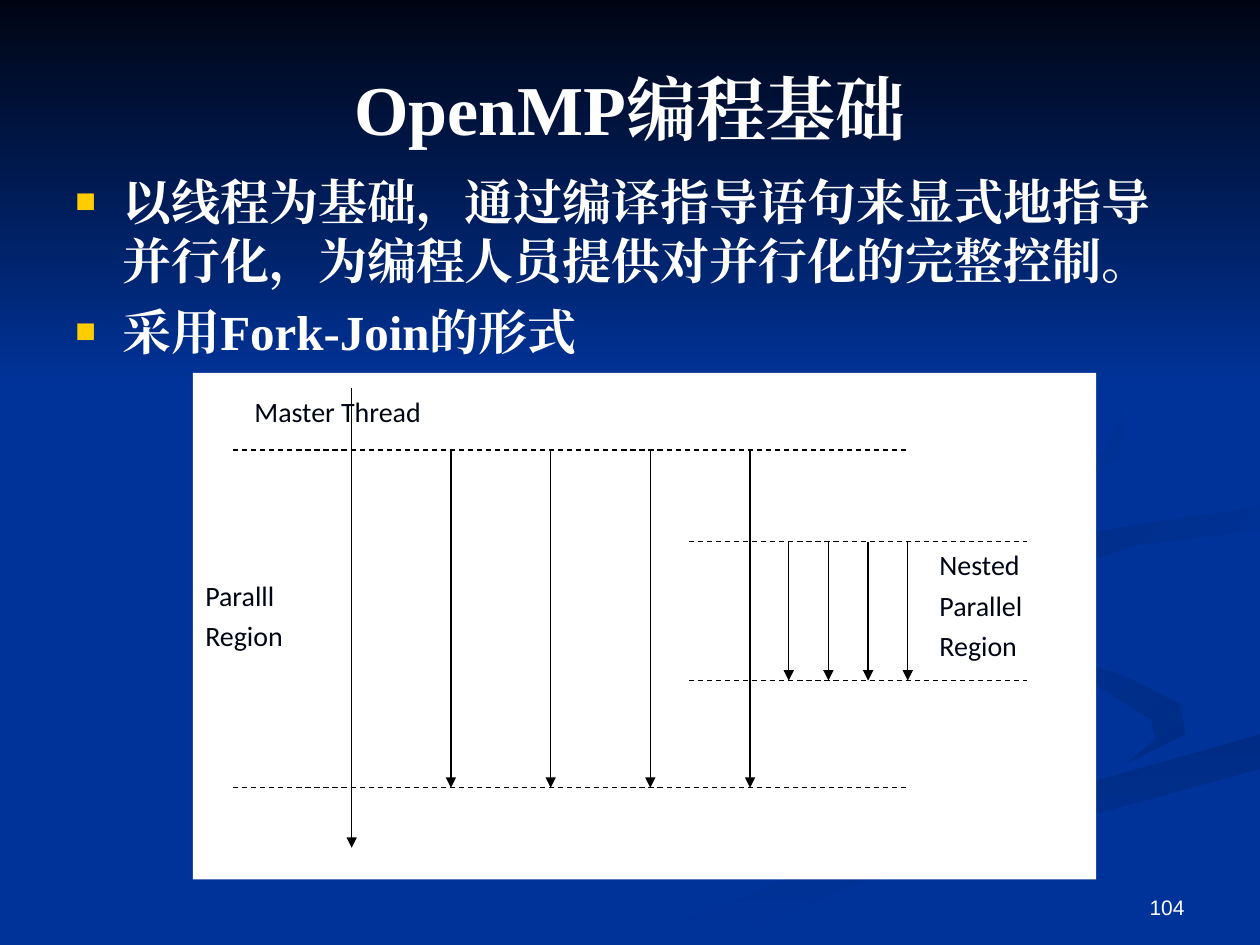
from pptx import Presentation
from pptx import util as u
from pptx.dml.color import RGBColor
from pptx.enum import dml, shapes, text
from pptx.oxml import parse_xml
from pptx.oxml.ns import nsdecls

BLUE = RGBColor(0x00, 0x33, 0x99)
NIGHT = RGBColor(0x00, 0x05, 0x14)
SHADE = RGBColor(0x00, 0x2C, 0x85)
WHITE = RGBColor(0xFF, 0xFF, 0xFF)
BLACK = RGBColor(0x00, 0x00, 0x00)
BULLET = (
    '<a:buClr {ns}><a:srgbClr val="FFCC00"/></a:buClr>',
    '<a:buSzPct {ns} val="70000"/>',
    '<a:buFont {ns} typeface="Arial"/>',
    '<a:buChar {ns} char="■"/>',
)


def write(box, content, size, font, color, bold=False, align=text.PP_ALIGN.LEFT,
          anchor=text.MSO_ANCHOR.TOP, before=0, bullet=False):
    frame = box.text_frame
    frame.word_wrap = True
    frame.auto_size = text.MSO_AUTO_SIZE.NONE
    frame.vertical_anchor = anchor
    for index, line in enumerate(content.split("\n")):
        para = frame.add_paragraph() if index else frame.paragraphs[0]
        para.alignment = align
        para.space_before = u.Pt(before if index else 0)
        if bullet:
            properties = para._p.get_or_add_pPr()
            properties.set("marL", str(u.Cm(0.95)))
            properties.set("indent", str(u.Cm(-0.95)))
            for item in BULLET:
                properties.append(parse_xml(item.format(ns=nsdecls("a"))))
        span = para.add_run()
        span.text = line
        span.font.size = u.Pt(size)
        span.font.name = font
        span.font.bold = bold
        span.font.color.rgb = color
        span._r.get_or_add_rPr().append(
            parse_xml(f'<a:ea {nsdecls("a")} typeface="{font}"/>'))


def draw_line(x1, y1, x2, y2, arrow=False):
    line = page.shapes.add_connector(
        shapes.MSO_CONNECTOR.STRAIGHT, u.Cm(x1), u.Cm(y1), u.Cm(x2), u.Cm(y2))
    line.line.color.rgb = BLACK
    line.line.width = u.Pt(0.75)
    if arrow:
        line.line._get_or_add_ln().append(
            parse_xml(f'<a:tailEnd {nsdecls("a")} type="triangle"/>'))
    else:
        line.line.dash_style = dml.MSO_LINE.DASH
    line._element.spPr.append(parse_xml(f'<a:effectLst {nsdecls("a")}/>'))


deck = Presentation()
deck.slide_width, deck.slide_height = u.Cm(25.4), u.Cm(19.05)
page = deck.slides.add_slide(deck.slide_layouts[5])
page.background.fill.solid()
page.background.fill.fore_color.rgb = BLUE

# Background ribbons: start colour, end colour, angle, outline in mm
ribbons = [
    (SHADE, BLUE, 135, [
        (184, 118), (197, 128), (226, 136), (238, 142), (239, 148), (227, 154),
        (233, 149), (232, 145), (221, 138), (195, 130)]),
    (SHADE, BLUE, 270, [
        (128, 190), (145, 190), (177, 176), (254, 155), (254, 148), (177, 170)]),
    (BLUE, SHADE, 135, [
        (198, 117), (210, 126), (206, 118), (228, 110), (254, 107), (254, 102),
        (216, 108)]),
    (BLUE, SHADE, 135, [
        (174, 109), (210, 102), (226, 92), (227, 84), (214, 70), (194, 59),
        (215, 71), (226, 83), (223, 91), (208, 98), (159, 108), (147, 117),
        (158, 127), (151, 119)]),
    # Dark band across the top
    (NIGHT, BLUE, 270, [(0, 0), (0, 78), (254, 78), (254, 0)]),
]
for start, end, angle, outline in ribbons:
    builder = page.shapes.build_freeform(*outline[0], scale=u.Cm(0.1))
    builder.add_line_segments(outline[1:], close=True)
    ribbon = builder.convert_to_shape()
    ribbon.shadow.inherit = False
    ribbon.line.fill.background()
    ribbon.fill.gradient()
    ribbon.fill.gradient_angle = angle
    for stop, color in zip(ribbon.fill.gradient_stops, (start, end)):
        stop.color.rgb = color

# Title, brought in front of the background
title = page.shapes.title
page.shapes.element.append(title.element)
title.left, title.top = u.Cm(1.27), u.Cm(0.76)
title.width, title.height = u.Cm(22.86), u.Cm(2.39)
write(title, "OpenMP编程基础", size=40, font="Times New Roman", color=WHITE, bold=True,
      align=text.PP_ALIGN.CENTER, anchor=text.MSO_ANCHOR.BOTTOM)

# Bullet points
points = page.shapes.add_textbox(u.Cm(1.27), u.Cm(3.33), u.Cm(22.86), u.Cm(4.19))
write(points, "以线程为基础，通过编译指导语句来显式地指导并行化，为编程人员提供对并行化的完整控制。\n"
      "采用Fork-Join的形式", size=28, font="Times New Roman", color=WHITE, bold=True,
      before=7, bullet=True)

# Diagram panel
panel = page.shapes.add_shape(
    shapes.MSO_SHAPE.RECTANGLE, u.Cm(3.89), u.Cm(7.52), u.Cm(18.21), u.Cm(10.21))
panel.shadow.inherit = False
panel.fill.solid()
panel.fill.fore_color.rgb = WHITE
panel.line.fill.background()

# Fork and join levels, outer and nested
fork, join, nested_fork, nested_join = 9.07, 15.88, 10.92, 13.72
for level in (fork, join):
    draw_line(4.7, level, 18.31, level)
for level in (nested_fork, nested_join):
    draw_line(13.89, level, 20.7, level)

# Threads
draw_line(7.09, 7.82, 7.09, 17.09, arrow=True)
for index in range(4):
    thread = 9.09 + 2.01 * index
    draw_line(thread, fork, thread, join, arrow=True)
    nested = 15.9 + 0.8 * index
    draw_line(nested, nested_fork, nested, nested_join, arrow=True)

# Diagram labels
labels = [
    ("Master Thread", 4.88, 7.82, 4.45, 0.94),
    ("Paralll\nRegion", 3.89, 11.53, 2.79, 1.55),
    ("Nested\nParallel\nRegion", 18.69, 10.92, 2.95, 2.46),
]
for label, left, top, width, height in labels:
    box = page.shapes.add_textbox(u.Cm(left), u.Cm(top), u.Cm(width), u.Cm(height))
    write(box, label, size=16, font="Calibri", color=NIGHT,
          align=text.PP_ALIGN.JUSTIFY, before=4)

# Page number
number = page.shapes.add_textbox(u.Cm(18.21), u.Cm(17.35), u.Cm(5.92), u.Cm(1.32))
write(number, "104", size=12, font="Arial", color=WHITE,
      align=text.PP_ALIGN.RIGHT, anchor=text.MSO_ANCHOR.BOTTOM)

deck.save("out.pptx")
